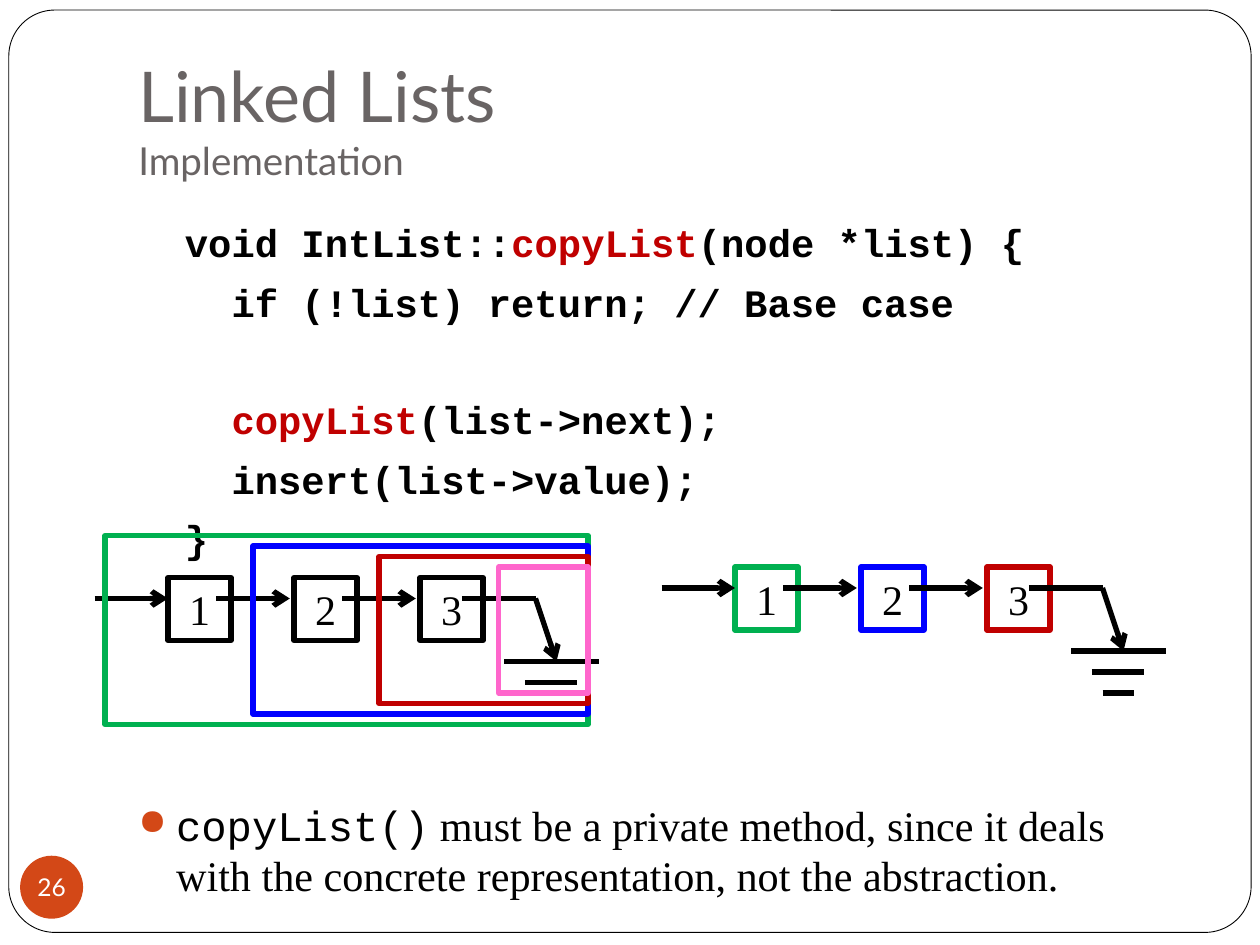
from lxml import etree
from pptx import Presentation
from pptx.dml.color import RGBColor
from pptx.enum.shapes import MSO_CONNECTOR, MSO_SHAPE
from pptx.enum.text import MSO_ANCHOR as ANCHOR, PP_ALIGN as ALIGN
from pptx.oxml.ns import qn
from pptx.util import Inches, Pt

BLACK = RGBColor(0, 0, 0)
WHITE = RGBColor(255, 255, 255)
GREY = RGBColor(0x69, 0x64, 0x64)
ORANGE = RGBColor(0xD3, 0x48, 0x17)
RED = RGBColor(0xC0, 0, 0)
GREEN = RGBColor(0, 0xB0, 0x50)
BLUE = RGBColor(0, 0, 255)
PINK = RGBColor(255, 0x66, 0xCC)
SANS, MONO, SERIF = "Lato", "Courier New", "Times New Roman"

# The slide is a grid of 120 columns and 90 rows, twelve to the inch
COLS, ROWS = 120, 90
prs = Presentation()
prs.slide_width, prs.slide_height = Inches(COLS / 12), Inches(ROWS / 12)
slide = prs.slides.add_slide(prs.slide_layouts[6])
shapes = slide.shapes


def outline(kind, col, row, cols, rows, line=None, weight=3, fill=None):
    shape = shapes.add_shape(kind, *(Inches(n / 12) for n in (col, row, cols, rows)))
    shape.shadow.inherit = False
    if fill is None:
        shape.fill.background()
    else:
        shape.fill.solid()
        shape.fill.fore_color.rgb = fill
    if line is None:
        shape.line.fill.background()
    else:
        shape.line.color.rgb = line
        shape.line.width = Pt(weight)
    return shape


def write(paragraph, *runs):
    for text, font, size, colour, bold in runs:
        run = paragraph.add_run()
        run.text = text
        look = {"name": font, "size": Pt(size), "bold": bold}
        for key, value in look.items():
            setattr(run.font, key, value)
        run.font.color.rgb = colour


# Page frame
page = outline(MSO_SHAPE.ROUNDED_RECTANGLE, 0.84, 0.96, 118.32, 87.84, BLACK, 0.5, WHITE)
page.adjustments[0] = 0.05

# Text frames: title, code, remark
text_areas = [(12, 3.6, 102, 15), (12, 20.2, 102, 33), (12, 75.5, 99.6, 11)]
title, code, remark = (
    shapes.add_textbox(*(Inches(n / 12) for n in area)).text_frame for area in text_areas
)
for frame in (title, code, remark):
    frame.word_wrap = True

# Title
title.vertical_anchor = ANCHOR.BOTTOM
title.margin_bottom = Inches(0.1)
heading = title.paragraphs[0]
write(heading, ("Linked Lists", SANS, 40, GREY, False))
heading.add_line_break()
write(heading, ("Implementation", SANS, 22, GREY, False))

# Code: space before, then the pieces, with calls to copyList in red
code_lines = [
    (0, ["  void IntList::", "copyList", "(node *list) {"]),
    (8, ["    if (!list) return; // Base case"]),
    (40, ["    ", "copyList", "(list->next);"]),
    (7.5, ["    insert(list->value);"]),
    (7.5, ["  }"]),
]
for number, (gap, pieces) in enumerate(code_lines):
    line = code.add_paragraph() if number else code.paragraphs[0]
    line.space_before = Pt(gap)
    write(line, *((piece, MONO, 22.2, RED if piece == "copyList" else BLACK, True)
                  for piece in pieces))

# Remark with an orange bullet
point = remark.paragraphs[0]
props = point._p.get_or_add_pPr()
props.set("marL", str(Inches(0.3)))
props.set("indent", str(-Inches(0.3)))
bullet_colour = etree.SubElement(props, qn("a:buClr"))
etree.SubElement(bullet_colour, qn("a:srgbClr"), val=str(ORANGE))
etree.SubElement(props, qn("a:buSzPct"), val="85000")
etree.SubElement(props, qn("a:buChar"), char="●")
write(
    point,
    ("copyList()", MONO, 24.1, BLACK, False),
    (" must be a private method, since it deals with the concrete representation, "
     "not the abstraction.", SERIF, 24.1, BLACK, False),
)

# Linked lists: origin of the first arrow and the node colours
linked_lists = [(9, 57, [BLACK] * 3), (63, 56, [GREEN, BLUE, RED])]
# Links relative to the origin: from column, row, to column, row, arrowhead
links = [
    (0, 0, 7, 0, True),
    (11.6, 0, 18.6, 0, True),
    (23.6, 0, 30.6, 0, True),
    (35, 0, 42, 0, False),
    (42, 0, 44, 6, True),
    (39, 6, 48, 6, False),
    (41, 8, 46, 8, False),
    (42, 10, 45, 10, False),
]
for left, top, colours in linked_lists:
    for index, colour in enumerate(colours):
        node = outline(MSO_SHAPE.RECTANGLE, left + 7 + 12 * index, top - 2, 6, 6, colour)
        node.text_frame.vertical_anchor = ANCHOR.MIDDLE
        value = node.text_frame.paragraphs[0]
        value.alignment = ALIGN.CENTER
        write(value, (str(index + 1), SERIF, 24, BLACK, False))
    for x1, y1, x2, y2, pointed in links:
        ends = (left + x1, top + y1, left + x2, top + y2)
        link = shapes.add_connector(MSO_CONNECTOR.STRAIGHT, *(Inches(n / 12) for n in ends))
        link.line.color.rgb = BLACK
        link.line.width = Pt(3)
        if pointed:
            etree.SubElement(link.line._get_or_add_ln(), qn("a:tailEnd"), type="arrow")
        etree.SubElement(link._element.spPr, qn("a:effectLst"))

# Nested calls: frames share the right edge and shrink by a row at top and bottom
RIGHT = 56
calls = [(10, GREEN), (24.1, BLUE), (36.1, RED), (47.5, PINK)]
for depth, (left, colour) in enumerate(calls):
    outline(MSO_SHAPE.RECTANGLE, left, 51 + depth, RIGHT - left, 18 - 2 * depth, colour)

# Page number
badge = outline(MSO_SHAPE.OVAL, 1.92, 81.5, 6, 6, fill=ORANGE).text_frame
for side in ("left", "top", "right", "bottom"):
    setattr(badge, f"margin_{side}", 0)
badge.word_wrap = False
badge.vertical_anchor = ANCHOR.MIDDLE
badge.paragraphs[0].alignment = ALIGN.CENTER
write(badge.paragraphs[0], ("26", SANS, 14, WHITE, False))

prs.save("out.pptx")
